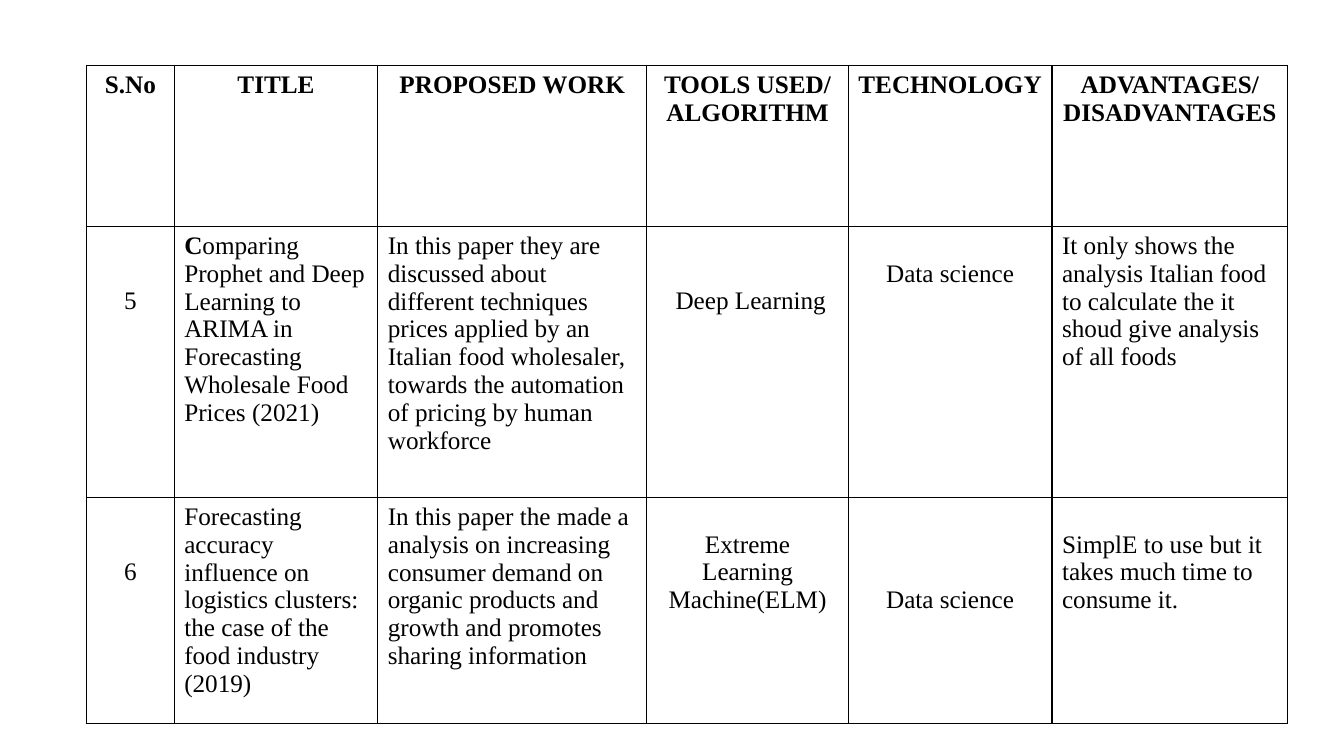
from lxml.etree import SubElement
from pptx import Presentation
from pptx.dml.color import RGBColor
from pptx.enum.text import PP_ALIGN
from pptx.oxml import parse_xml
from pptx.oxml.ns import nsdecls
from pptx.util import Cm, Pt

COLORS = {"ink": "000000"}
FONT = "Times New Roman"
LINE_HEIGHT = 0.7
TOP_MARGIN = 0.13

column_widths = [2.21, 5.13, 6.78, 5.08, 5.13, 5.94]
row_heights = [4.06, 6.83, 5.69]
centred_columns = {0, 3, 4}

papers = [
    ["S.No", "TITLE", "PROPOSED WORK", "TOOLS USED/\nALGORITHM", "TECHNOLOGY",
     "ADVANTAGES/ DISADVANTAGES"],
    ["5",
     "Comparing Prophet and Deep Learning to ARIMA in Forecasting Wholesale Food Prices (2021)",
     "In this paper they are discussed about different techniques prices applied by an "
     "Italian food wholesaler, towards the automation of pricing by human workforce",
     " Deep Learning",
     "Data science",
     "It only shows the analysis Italian food to calculate the it shoud give analysis of all foods"],
    ["6",
     "Forecasting accuracy influence on logistics clusters: the case of the food industry (2019)",
     "In this paper the made a analysis on increasing consumer demand on organic products "
     "and growth and promotes sharing information",
     "Extreme Learning Machine(ELM)",
     "Data science",
     "SimplE to use but it takes much time to consume it."],
]
lines_down = [
    [0, 0, 0, 0, 0, 0],
    [2, 0, 0, 2, 1, 0],
    [2, 0, 0, 1, 3, 1],
]


def add_borders(cell):
    properties = cell._tc.get_or_add_tcPr()
    for position, side in enumerate(["lnL", "lnR", "lnT", "lnB"]):
        border = parse_xml(
            f'<a:{side} {nsdecls("a")} w="{Pt(1)}"><a:solidFill>'
            f'<a:srgbClr val="{COLORS["ink"]}"/></a:solidFill></a:{side}>')
        properties.insert(position, border)


presentation = Presentation()
presentation.slide_width = Cm(33.87)
presentation.slide_height = Cm(19.05)
slide = presentation.slides.add_slide(presentation.slide_layouts[6])

survey = slide.shapes.add_table(
    len(row_heights), len(column_widths), Cm(2.18), Cm(1.65),
    Cm(sum(column_widths)), Cm(sum(row_heights))).table
survey.first_row = False
survey.horz_banding = False

for column, width in zip(survey.columns, column_widths):
    column.width = Cm(width)
for row, height in zip(survey.rows, row_heights):
    row.height = Cm(height)

for row_index, paper in enumerate(papers):
    for column_index, wording in enumerate(paper):
        is_header = row_index == 0
        cell = survey.cell(row_index, column_index)
        cell.text_frame.text = wording
        cell.margin_top = Cm(TOP_MARGIN + LINE_HEIGHT * lines_down[row_index][column_index])
        cell.fill.background()
        add_borders(cell)
        if (row_index, column_index) == (1, 1):
            paragraph = cell.text_frame.paragraphs[0]
            paragraph.runs[0].text = wording[0]
            paragraph.add_run().text = wording[1:]
        for paragraph in cell.text_frame.paragraphs:
            centred = is_header or column_index in centred_columns
            paragraph.alignment = PP_ALIGN.CENTER if centred else PP_ALIGN.LEFT
            for run in paragraph.runs:
                run.font.name = FONT
                run.font.size = Pt(18)
                run.font.bold = is_header
                run.font.color.rgb = RGBColor.from_string(COLORS["ink"])

survey.cell(1, 1).text_frame.paragraphs[0].runs[0].font.bold = True

presentation.save("out.pptx")
